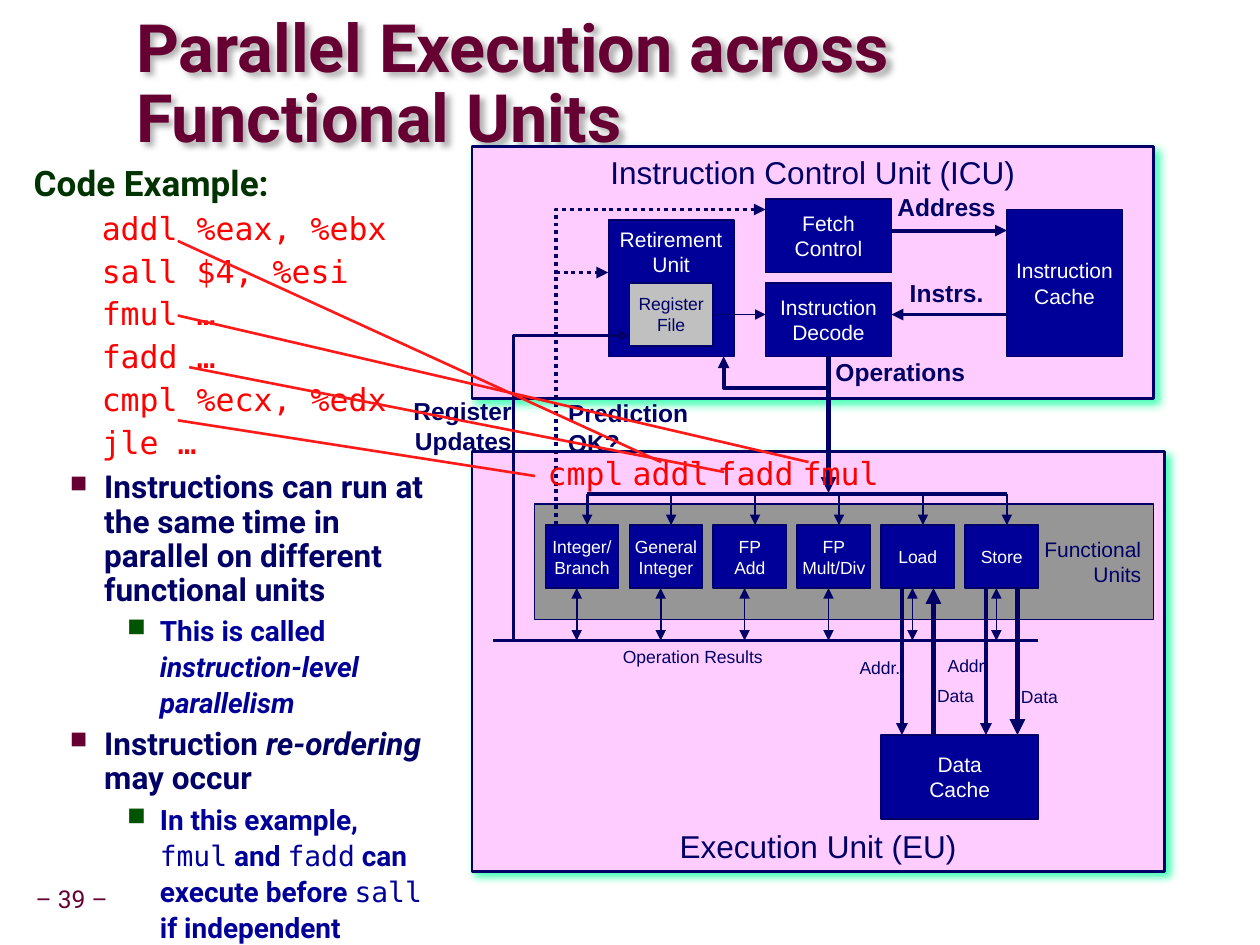
from dataclasses import dataclass

from lxml import etree
from pptx import Presentation
from pptx import util as u
from pptx.dml.color import RGBColor
from pptx.enum import dml, shapes, text
from pptx.oxml.ns import qn


@dataclass(frozen=True)
class Theme:
    """Colours, fonts and type sizes of the slide."""
    plum: str = "660033"
    navy: str = "000066"
    blue: str = "000099"
    pink: str = "FFCCFF"
    mint: str = "00FF99"
    gray: str = "969696"
    silver: str = "C0C0C0"
    white: str = "FFFFFF"
    red: str = "FF0000"
    trace: str = "FF1A1A"
    forest: str = "003300"
    green: str = "005400"
    heading: str = "Roboto"
    label: str = "Arial"
    mono: str = "DejaVu Sans Mono"
    title: int = 38
    lead: int = 20
    body: int = 18
    detail: int = 16
    note: int = 14
    block: int = 12
    small: int = 10


@dataclass(frozen=True)
class Box:
    """A region origin in centimetres with the unit its parts are placed in."""
    left: float
    top: float
    unit: float = 1

    def point(self, x, y):
        """Return a slide position for a place in the region."""
        return u.Cm(self.left + x * self.unit), u.Cm(self.top + y * self.unit)

    def rect(self, x, y, width, height):
        """Return slide position and size for an area of the region."""
        return *self.point(x, y), u.Cm(width * self.unit), u.Cm(height * self.unit)


T = Theme()
GRID = 1.69 / 8
ALIGN = text.PP_ALIGN
ANCHOR = text.MSO_ANCHOR


def style(font, size, color, name=T.label, bold=False):
    """Set the look of a font."""
    font.size, font.name, font.bold = u.Pt(size), name, bold
    font.color.rgb = RGBColor.from_string(color)


def cast_shadow(shape, color, opacity, blur):
    """Give a shape a soft shadow to the lower right."""
    shape.shadow.inherit = False
    effects = shape._element.spPr.find(qn("a:effectLst"))
    outer = etree.SubElement(effects, qn("a:outerShdw"), blurRad=str(u.Pt(blur)),
                             dist=str(u.Pt(3)), dir="2700000", rotWithShape="0")
    tint = etree.SubElement(outer, qn("a:srgbClr"), val=color)
    etree.SubElement(tint, qn("a:alpha"), val=str(opacity * 1000))


def write(frame, words, size, color, align=ALIGN.CENTER, name=T.label, bold=False, spacing=None):
    """Fill a text frame with unwrapped lines in one style."""
    frame.text = words
    frame.word_wrap = False
    for line in frame.paragraphs:
        line.alignment = align
        line.line_spacing = spacing
        style(line.font, size, color, name, bold)


def block(slide, area, words, size, fill=T.blue, color=T.white, anchor=ANCHOR.MIDDLE,
          align=ALIGN.CENTER, edge=0.75):
    """Draw a labelled rectangle."""
    unit = slide.shapes.add_shape(shapes.MSO_SHAPE.RECTANGLE, *area)
    unit.shadow.inherit = False
    unit.fill.solid()
    unit.fill.fore_color.rgb = RGBColor.from_string(fill)
    unit.line.color.rgb = RGBColor.from_string(T.navy)
    unit.line.width = u.Pt(edge)
    unit.text_frame.vertical_anchor = anchor
    write(unit.text_frame, words, size, color, align)
    return unit


def panel(slide, area, words, anchor):
    """Draw a titled pink panel with a mint shadow."""
    cast_shadow(block(slide, area, words, T.body, T.pink, T.navy, anchor, edge=1.5), T.mint, 75, 5)


def label(slide, area, words, size, color=T.navy, **look):
    """Place free text that fits its box."""
    frame = slide.shapes.add_textbox(*area).text_frame
    write(frame, words, size, color, **look)
    frame.auto_size = text.MSO_AUTO_SIZE.SHAPE_TO_FIT_TEXT
    return frame


def finish_line(wire, width, color, head, tail, dotted):
    """Set the stroke and arrowheads of a wire."""
    wire.line.color.rgb = RGBColor.from_string(color)
    wire.line.width = u.Pt(width)
    if dotted:
        wire.line.dash_style = dml.MSO_LINE.ROUND_DOT
    stroke = wire._element.spPr.find(qn("a:ln"))
    for end, shown in (("a:headEnd", head), ("a:tailEnd", tail)):
        if shown:
            etree.SubElement(stroke, qn(end), type="triangle")


def wire(slide, box, start, end, width, color=T.navy, head=False, tail=True, dotted=False):
    """Draw a straight wire between two places of a region."""
    run = slide.shapes.add_connector(shapes.MSO_CONNECTOR.STRAIGHT,
                                     *box.point(*start), *box.point(*end))
    etree.SubElement(run._element.spPr, qn("a:effectLst"))
    finish_line(run, width, color, head, tail, dotted)
    return run


def bent_wire(slide, box, corners, width, head=False, tail=False, dotted=False):
    """Draw a wire that turns at each corner."""
    start, *rest = [box.point(*corner) for corner in corners]
    path_builder = slide.shapes.build_freeform(*start)
    path_builder.add_line_segments(rest, close=False)
    run = path_builder.convert_to_shape()
    run.shadow.inherit = False
    run.fill.background()
    finish_line(run, width, T.navy, head, tail, dotted)


def heading(slide, box):
    """Set the slide title and its shadow."""
    title = slide.shapes.title
    title.left, title.top, title.width, title.height = box.rect(0, 0, 16.26, 1.6)
    frame = title.text_frame
    frame.text = "Parallel Execution across Functional Units"
    frame.margin_left = frame.margin_right = frame.margin_top = frame.margin_bottom = 0
    frame.vertical_anchor, frame.word_wrap = ANCHOR.MIDDLE, True
    frame.auto_size = text.MSO_AUTO_SIZE.NONE
    line = frame.paragraphs[0]
    line.alignment, line.line_spacing = ALIGN.LEFT, 0.87
    style(line.font, T.title, T.plum, T.heading, True)
    cast_shadow(title, "808080", 60, 3)


def page_number(slide, box):
    """Place the page number."""
    frame = label(slide, box.rect(0, 0, 1.73, 0.81), "– 39 –", T.note, T.plum,
                  name=T.heading, spacing=0.9)
    frame.margin_left = frame.margin_right = u.Cm(0.13)


def execution_unit(slide, box):
    """Draw the execution unit with its functional units and data cache."""
    panel(slide, box.rect(0, 0, 66, 40), "Execution Unit (EU)", ANCHOR.BOTTOM)
    block(slide, box.rect(6, 5, 59, 11), "Functional\nUnits", T.block, T.gray, T.navy,
          align=ALIGN.RIGHT)
    block(slide, box.rect(39, 27, 15, 8), "Data\nCache", T.block)
    wire(slide, box, (11, 4), (51, 4), 2.25, tail=False)
    wire(slide, box, (2, 18), (54, 18), 1.5, tail=False)
    units = ("Integer/\nBranch", "General\nInteger", "FP\nAdd", "FP\nMult/Div", "Load", "Store")
    for i, unit in enumerate(units):
        left = 7 + 8 * i
        block(slide, box.rect(left, 7, 7, 6), unit, T.small)
        wire(slide, box, (left + 4, 4), (left + 4, 7), 1.5)
        wire(slide, box, (left + 3, 13), (left + 3, 18), 1, head=True)
    for x, start, end, width in ((41, 13, 27, 2.25), (44, 27, 13, 3),
                                 (49, 13, 27, 2.25), (52, 13, 27, 3)):
        wire(slide, box, (x, start), (x, end), width)
    for x, y, width, words in ((51.1, 21.7, 6, "Data"), (43.1, 21.6, 6, "Data"),
                               (35.7, 19, 6.4, "Addr."), (44.1, 18.8, 6.4, "Addr."),
                               (13.1, 17.9, 15.9, "Operation Results")):
        label(slide, box.rect(x, y, width, 3.2), words, T.small)


def instruction_control(slide, box):
    """Draw the instruction control unit and return the parts that are wired on."""
    panel(slide, box.rect(0, 0, 65, 24), "Instruction Control Unit (ICU)", ANCHOR.TOP)
    block(slide, box.rect(51, 6, 11, 14), "Instruction\nCache", T.block)
    block(slide, box.rect(28, 5, 12, 7), "Fetch\nControl", T.block)
    decode = block(slide, box.rect(28, 13, 12, 7), "Instruction\nDecode", T.block)
    block(slide, box.rect(13, 7, 12, 13), "Retirement\nUnit", T.block, anchor=ANCHOR.TOP)
    register_file = block(slide, box.rect(15, 13, 8, 6), "Register\nFile", T.small,
                          T.silver, T.navy)
    wire(slide, box, (40, 8), (51, 8), 2.25)
    wire(slide, box, (51, 16), (40, 16), 2.25)
    wire(slide, box, (23, 16), (28, 16), 0.75).begin_connect(register_file, 3)
    bent_wire(slide, box, ((34, 23), (24, 23), (24, 20)), 2.25, tail=True)
    for x, y, width, words in ((39.3, 3.7, 11.9, "Address"), (40.5, 11.9, 9.5, "Instrs."),
                               (33.4, 19.5, 14.9, "Operations")):
        label(slide, box.rect(x, y, width, 4.1), words, T.note, bold=True)
    return decode


def unit_links(slide, box, decode):
    """Wire the control unit to the execution unit below it."""
    wire(slide, box, (34, 20), (34, 33), 3).begin_connect(decode, 2)
    bent_wire(slide, box, ((28, 6), (8, 6), (8, 36)), 2.25, head=True, dotted=True)
    wire(slide, box, (8, 12), (13, 12), 2.25, dotted=True)
    bent_wire(slide, box, ((15, 18), (4, 18), (4, 47)), 1.5, head=True)
    label(slide, box.rect(8, 23.4, 14, 6.9), "Prediction\nOK?", T.note, align=ALIGN.LEFT, bold=True)
    label(slide, box.rect(-7, 23.2, 12, 6.9), "Register\nUpdates", T.note, align=ALIGN.RIGHT,
          bold=True)


def code_example(slide, box):
    """List the instructions of the example."""
    frame = slide.shapes.add_textbox(*box.rect(0, 0, 9.09, 6.2)).text_frame
    frame.text = ("Code Example:\naddl %eax, %ebx\nsall $4, %esi\nfmul …\nfadd …\n"
                  "cmpl %ecx, %edx\njle …")
    frame.word_wrap = True
    lead, *instructions = frame.paragraphs
    lead.line_spacing = 0.95
    style(lead.font, T.lead, T.forest, T.heading, True)
    for line in instructions:
        line._p.get_or_add_pPr().set("marL", str(u.Cm(1.37)))
        line.line_spacing, line.space_before = 0.9, u.Pt(5)
        style(line.font, T.body, T.red, T.mono)


def dispatch(slide, box, traces):
    """Name the instruction in each busy unit and trace it to the code."""
    for i, name in enumerate(("cmpl", "addl", "fadd", "fmul")):
        label(slide, box.rect(6 + 8.1 * i, 0, 9.7, 4.6), name, T.body, T.red,
              name=T.mono, spacing=0.9)
    for start, end in (((3.15, 1.67), (12.88, 6.12)), ((3.15, 3.17), (15.85, 6.12)),
                       ((3.38, 4.21), (14.15, 6.32)), ((3.15, 5.28), (10.34, 6.4))):
        wire(slide, traces, start, end, 1.5, T.trace, tail=False)


def remarks(slide, box):
    """Write the bulleted remarks; * marks italics and ` marks code."""
    frame = slide.shapes.add_textbox(*box.rect(0, 0, 8.89, 9.5)).text_frame
    frame.word_wrap = True
    levels = {1: (1.85, -0.69, T.plum, 75, 0.9, 5, T.body, T.navy),
              2: (2.97, -0.66, T.green, 90, 1.07, 2, T.detail, T.blue)}
    points = ((1, "Instructions can run at the same time in parallel on different functional units"),
              (2, "This is called |*instruction-level parallelism"),
              (1, "Instruction |*re-ordering| may occur"),
              (2, "In this example, |`fmul| and |`fadd| can execute before |`sall| if independent"))
    for i, (level, words) in enumerate(points):
        margin, indent, tint, scale, spacing, gap, size, color = levels[level]
        point = frame.add_paragraph() if i else frame.paragraphs[0]
        point.level = level
        props = point._p.get_or_add_pPr()
        props.set("marL", str(u.Cm(margin)))
        props.set("indent", str(u.Cm(indent)))
        etree.SubElement(etree.SubElement(props, qn("a:buClr")), qn("a:srgbClr"), val=tint)
        etree.SubElement(props, qn("a:buSzPct"), val=str(scale * 1000))
        etree.SubElement(props, qn("a:buChar"), char="■")
        point.line_spacing = spacing
        if i:
            point.space_before = u.Pt(gap)
        style(point.font, size, color, T.heading, True)
        for part in words.split("|"):
            run = point.add_run()
            run.text = part.lstrip("*`")
            if part.startswith("*"):
                run.font.italic = True
            elif part.startswith("`"):
                run.font.name, run.font.bold = T.mono, False


def main():
    """Build and save the slide."""
    deck = Presentation()
    deck.slide_width, deck.slide_height = u.Cm(25.37), u.Cm(19.02)
    slide = deck.slides.add_slide(deck.slide_layouts[5])
    control, execution = Box(9.5, 2.95, GRID), Box(9.5, 9.09, GRID)
    code = Box(0.43, 3.18)
    heading(slide, Box(2.74, 0.94))
    page_number(slide, Box(0.58, 17.73))
    execution_unit(slide, execution)
    decode = instruction_control(slide, control)
    unit_links(slide, control, decode)
    code_example(slide, code)
    dispatch(slide, execution, code)
    remarks(slide, Box(0, 9.37))
    deck.save("out.pptx")


if __name__ == "__main__":
    main()
